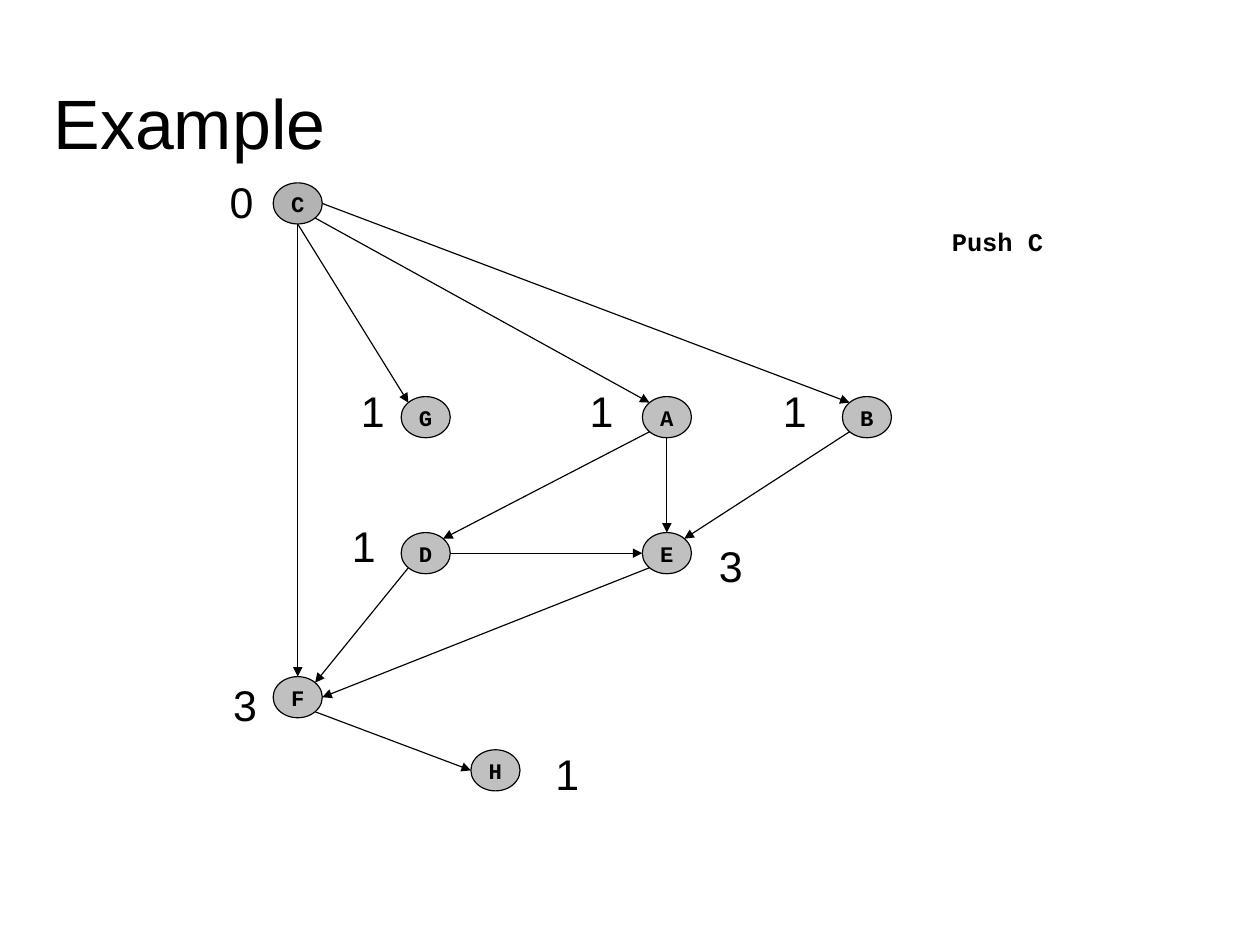
from math import cos, pi, sin

from lxml.etree import SubElement
from pptx import Presentation
from pptx.dml.color import RGBColor
from pptx.enum.shapes import MSO_CONNECTOR, MSO_SHAPE
from pptx.enum.text import MSO_ANCHOR, MSO_AUTO_SIZE, PP_ALIGN
from pptx.oxml.ns import qn
from pptx.util import Inches, Pt

COLORS = {
    "ink": "000000",
    "node": "C0C0C0",
    "pushed": "B3B3B3",
}
WIDE, HIGH = 0.43, 0.36

# Name: node left and top, in-degree, in-degree left and top
NODES = {
    "C": (2.39, 1.6, "0", 1.91, 1.49),
    "G": (3.51, 3.47, "1", 3.06, 3.32),
    "A": (5.62, 3.47, "1", 5.06, 3.32),
    "B": (7.37, 3.47, "1", 6.75, 3.32),
    "D": (3.51, 4.66, "1", 2.98, 4.5),
    "E": (5.62, 4.66, "3", 6.19, 4.67),
    "F": (2.39, 5.92, "3", 1.94, 5.89),
    "H": (4.12, 6.56, "1", 4.76, 6.49),
}
# Each end is a node and a site, counted counterclockwise from the top
EDGES = [
    ("C", 4, "F", 0), ("C", 4, "G", 1), ("C", 5, "A", 1), ("C", 6, "B", 1),
    ("A", 3, "D", 7), ("A", 4, "E", 0), ("B", 3, "E", 7), ("D", 6, "E", 2),
    ("D", 3, "F", 7), ("E", 3, "F", 6), ("F", 5, "H", 2),
]


def write(shape, text, size, face="Arial", bold=False):
    frame = shape.text_frame
    frame.text = text
    font = frame.paragraphs[0].runs[0].font
    font.name, font.size, font.bold = face, Pt(size), bold
    font.color.rgb = RGBColor.from_string(COLORS["ink"])
    return frame


def site(name, turn):
    """Return the point on a node's rim after so many eighths of a turn."""
    left, top = NODES[name][:2]
    angle = turn * pi / 4
    x = left + WIDE / 2 * (1 - sin(angle))
    y = top + HIGH / 2 * (1 - cos(angle))
    return Inches(x), Inches(y)


prs = Presentation()
# 28 by 21 cm
prs.slide_width, prs.slide_height = Inches(28 / 2.54), Inches(21 / 2.54)
slide = prs.slides.add_slide(prs.slide_layouts[5])
shapes = slide.shapes

title = shapes.title
title.left, title.top = Inches(0.47), Inches(0.71)
title.width, title.height = Inches(7.72), Inches(0.71)
frame = write(title, "Example", 44)
frame.margin_left = frame.margin_right = 0
frame.margin_top = frame.margin_bottom = 0
frame.vertical_anchor = MSO_ANCHOR.MIDDLE
frame.auto_size = MSO_AUTO_SIZE.SHAPE_TO_FIT_TEXT
frame.paragraphs[0].alignment = PP_ALIGN.LEFT

for start, leave, end, enter in EDGES:
    arrow = shapes.add_connector(
        MSO_CONNECTOR.STRAIGHT, *site(start, leave), *site(end, enter))
    arrow.line.color.rgb = RGBColor.from_string(COLORS["ink"])
    arrow.line.width = Pt(0.75)
    props = arrow.line._get_or_add_ln()
    SubElement(props, qn("a:tailEnd"), type="triangle")
    SubElement(arrow._element.spPr, qn("a:effectLst"))

for name, (left, top, degree, x, y) in NODES.items():
    node = shapes.add_shape(MSO_SHAPE.OVAL, Inches(left), Inches(top),
                            Inches(WIDE), Inches(HIGH))
    node.shadow.inherit = False
    node.fill.solid()
    fill = "pushed" if name == "C" else "node"
    node.fill.fore_color.rgb = RGBColor.from_string(COLORS[fill])
    node.line.color.rgb = RGBColor.from_string(COLORS["ink"])
    node.line.width = Pt(0.75)
    frame = write(node, name, 14, "Courier New", True)
    frame.word_wrap = False
    frame.vertical_anchor = MSO_ANCHOR.MIDDLE
    frame.paragraphs[0].alignment = PP_ALIGN.CENTER

    label = shapes.add_textbox(Inches(x), Inches(y), Inches(0.45), Inches(0.56))
    write(label, degree, 27).word_wrap = True

step = shapes.add_textbox(Inches(8.23), Inches(1.88), Inches(1), Inches(0.42))
frame = write(step, "Push C", 16, "Courier New", True)
frame.word_wrap = False
frame.auto_size = MSO_AUTO_SIZE.SHAPE_TO_FIT_TEXT
frame.paragraphs[0].line_spacing = 1.2

prs.save("out.pptx")
